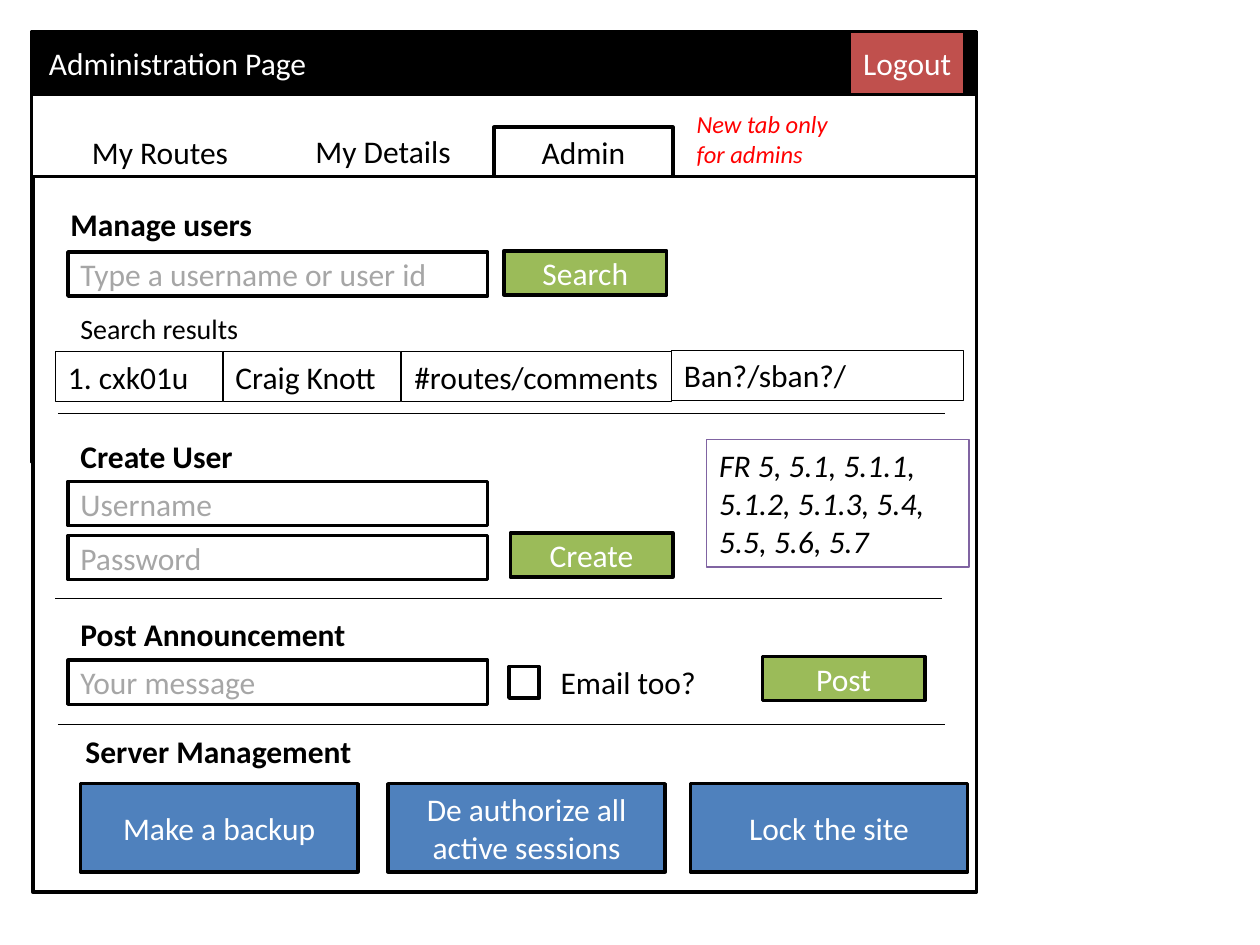
from lxml import etree
from pptx import Presentation
from pptx.dml.color import RGBColor
from pptx.enum import shapes, text
from pptx.oxml import ns
from pptx.util import Inches, Pt

FONT = "Calibri"
BLACK, WHITE, GREY, RED = "000000", "FFFFFF", "A6A6A6", "FF0000"
GREEN, BLUE, BRICK, PURPLE = "9BBB59", "4F81BD", "C0504D", "8064A2"
LEFT, CENTER = text.PP_ALIGN.LEFT, text.PP_ALIGN.CENTER
TOP, MIDDLE = text.MSO_ANCHOR.TOP, text.MSO_ANCHOR.MIDDLE


def rgb(color):
    return RGBColor.from_string(color)


def write(shape, content, size=18, color=BLACK, bold=False, italic=False,
          align=LEFT, anchor=TOP):
    frame = shape.text_frame
    frame.word_wrap = True
    frame.vertical_anchor = anchor
    paragraph = frame.paragraphs[0]
    paragraph.text = content
    paragraph.alignment = align
    font = paragraph.font
    font.name, font.size = FONT, Pt(size)
    font.bold, font.italic = bold, italic
    font.color.rgb = rgb(color)


def add_box(slide, left, top, width, height, fill=WHITE, line=BLACK, weight=2):
    box = slide.shapes.add_shape(
        shapes.MSO_SHAPE.RECTANGLE,
        Inches(left), Inches(top), Inches(width), Inches(height))
    box.shadow.inherit = False
    if fill:
        box.fill.solid()
        box.fill.fore_color.rgb = rgb(fill)
    else:
        box.fill.background()
    box.line.color.rgb = rgb(line)
    box.line.width = Pt(weight)
    return box


def add_label(slide, content, left, top, width, height=0.4, **style):
    label = slide.shapes.add_textbox(
        Inches(left), Inches(top), Inches(width), Inches(height))
    write(label, content, **style)


def add_heading(slide, content, left, top):
    add_label(slide, content, left, top, 2.62, bold=True)


def add_input(slide, hint, top):
    write(add_box(slide, 0.54, top, 3.33, 0.35), hint, color=GREY, anchor=MIDDLE)


def add_button(slide, caption, left, top, width=1.29, height=0.35, fill=GREEN):
    button = add_box(slide, left, top, width, height, fill)
    write(button, caption, color=WHITE, align=CENTER, anchor=MIDDLE)


def add_divider(slide, left, top, width=7.04):
    divider = slide.shapes.add_connector(
        shapes.MSO_CONNECTOR.STRAIGHT,
        Inches(left), Inches(top), Inches(left + width), Inches(top))
    divider.line.color.rgb = rgb(BLACK)
    divider.line.width = Pt(0.75)
    etree.SubElement(divider._element.spPr, ns.qn("a:effectLst"))


def add_window(slide):
    """Draw the page frame, title bar and tabs."""
    add_box(slide, 0.25, 0.25, 7.5, 3.42)
    add_box(slide, 3.92, 1.01, 1.42, 0.4)
    add_box(slide, 0.26, 1.4, 7.49, 5.68)
    add_box(slide, 0.25, 0.25, 7.5, 0.5, BLACK)
    add_button(slide, "Logout", 6.74, 0.25, 0.92, 0.5, BRICK)
    add_label(slide, "Administration Page", 0.29, 0.3, 4.72, color=WHITE)
    for caption, left, top, width in (("My Routes", 0.63, 1.01, 1.28),
                                      ("My Details", 2.33, 1, 1.42),
                                      ("Admin", 3.92, 1.01, 1.42)):
        add_label(slide, caption, left, top, width, align=CENTER)
    add_label(slide, "New tab only for admins", 5.43, 0.82, 1.35, 0.57,
              size=14, color=RED, italic=True)


def add_user_search(slide):
    add_heading(slide, "Manage users", 0.46, 1.58)
    add_input(slide, "Type a username or user id", 2)
    add_button(slide, "Search", 4, 1.99)
    add_label(slide, "Search results", 0.54, 2.42, 1.67, 0.37, size=16)
    for content, left, top, width in (("1. cxk01u", 0.44, 2.79, 1.33),
                                      ("Craig Knott", 1.77, 2.79, 1.41),
                                      ("#routes/comments", 3.19, 2.79, 2.14),
                                      ("Ban?/sban?/", 5.33, 2.78, 2.32)):
        write(add_box(slide, left, top, width, 0.4, None, weight=0.5), content)
    add_divider(slide, 0.46, 3.28)


def add_user_creation(slide):
    add_heading(slide, "Create User", 0.54, 3.42)
    add_input(slide, "Username", 3.82)
    add_input(slide, "Password", 4.25)
    add_button(slide, "Create", 4.05, 4.23)
    requirements = add_box(slide, 5.61, 3.49, 2.08, 1.01, line=PURPLE, weight=0.75)
    write(requirements, "FR 5, 5.1, 5.1.1, 5.1.2, 5.1.3, 5.4, 5.5, 5.6, 5.7",
          italic=True)
    add_divider(slide, 0.44, 4.75)


def add_announcement(slide):
    add_heading(slide, "Post Announcement", 0.54, 4.83)
    add_input(slide, "Your message", 5.24)
    add_box(slide, 4.04, 5.29, 0.24, 0.25)
    add_label(slide, "Email too?", 4.35, 5.21, 1.31)
    add_button(slide, "Post", 6.05, 5.21)
    add_divider(slide, 0.46, 5.75)


def add_server_management(slide):
    add_heading(slide, "Server Management", 0.58, 5.76)
    for caption, left in (("Make a backup", 0.64),
                          ("De authorize all active sessions", 3.08),
                          ("Lock the site", 5.48)):
        add_button(slide, caption, left, 6.22, 2.2, 0.7, BLUE)


def main():
    presentation = Presentation()
    presentation.slide_width, presentation.slide_height = Inches(10), Inches(7.5)
    slide = presentation.slides.add_slide(presentation.slide_layouts[6])
    add_window(slide)
    add_user_search(slide)
    add_user_creation(slide)
    add_announcement(slide)
    add_server_management(slide)
    presentation.save("out.pptx")


if __name__ == "__main__":
    main()
